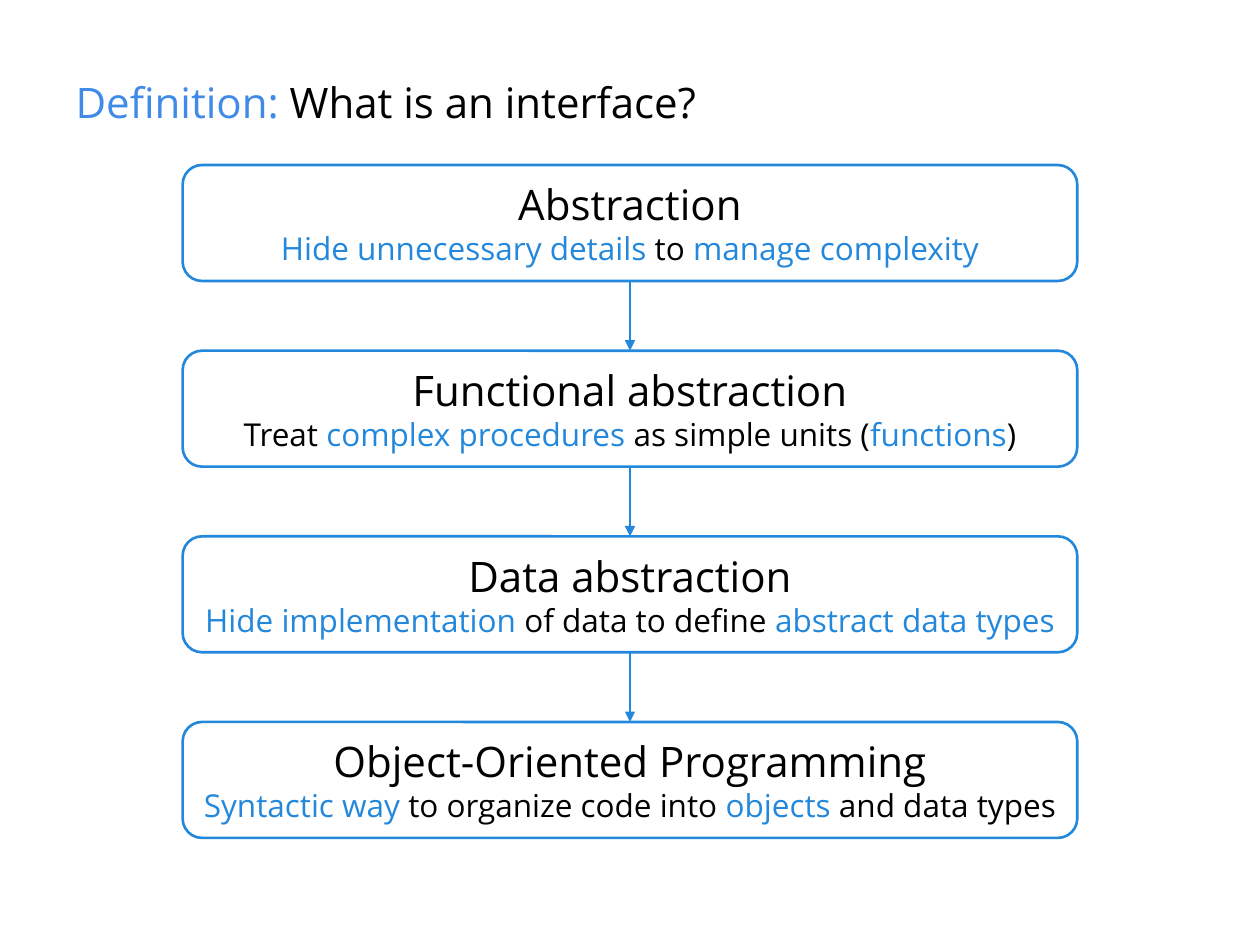
import pptx
import pptx.dml.color
import pptx.enum.shapes
import pptx.enum.text
import pptx.oxml.ns
import pptx.util
from lxml import etree

Inches = pptx.util.Inches
Pt = pptx.util.Pt
RGBColor = pptx.dml.color.RGBColor
PP_ALIGN = pptx.enum.text.PP_ALIGN
MSO_ANCHOR = pptx.enum.text.MSO_ANCHOR
qn = pptx.oxml.ns.qn

BLUE = RGBColor(0x23, 0x88, 0xDB)
TITLE_BLUE = RGBColor(0x41, 0x8B, 0xE8)
BLACK = RGBColor(0, 0, 0)
FONT = "Open Sans"

BOX_LEFT, BOX_WIDTH, BOX_HEIGHT = 1.45, 7.1, 0.92
FIRST_TOP, LAST_TOP = 1.31, 5.73

CONCEPTS = [
    ("Abstraction",
     [("Hide unnecessary details", BLUE), (" to ", BLACK),
      ("manage complexity", BLUE)]),
    ("Functional abstraction",
     [("Treat ", BLACK), ("complex procedures", BLUE),
      (" as simple units (", BLACK), ("functions", BLUE), (")", BLACK)]),
    ("Data abstraction",
     [("Hide implementation", BLUE), (" of data to define ", BLACK),
      ("abstract data types", BLUE)]),
    ("Object-Oriented Programming",
     [("Syntactic way", BLUE), (" to organize code into", BLACK),
      (" objects", BLUE), (" and data types", BLACK)]),
]


def set_frame(tf, anchor):
    tf.word_wrap = True
    tf.auto_size = pptx.enum.text.MSO_AUTO_SIZE.NONE
    tf.vertical_anchor = anchor
    tf.margin_left = tf.margin_right = Inches(0.1)
    tf.margin_top = tf.margin_bottom = Inches(0.1)


def write_paragraph(p, runs, size, align):
    p.alignment = align
    p.font.name = FONT
    p.font.size = Pt(size)
    for text, color in runs:
        r = p.add_run()
        r.text = text
        r.font.color.rgb = color


def set_title(s, runs):
    title = s.shapes.title
    title.left, title.top = Inches(0.5), Inches(0.24)
    title.width, title.height = Inches(9), Inches(0.87)
    set_frame(title.text_frame, MSO_ANCHOR.BOTTOM)
    write_paragraph(title.text_frame.paragraphs[0], runs, 24, PP_ALIGN.LEFT)


def add_box(s, top, heading, runs):
    box = s.shapes.add_shape(
        pptx.enum.shapes.MSO_SHAPE.ROUNDED_RECTANGLE,
        Inches(BOX_LEFT), Inches(top), Inches(BOX_WIDTH), Inches(BOX_HEIGHT))
    box.shadow.inherit = False
    box.fill.background()
    box.line.color.rgb = BLUE
    box.line.width = Pt(1.5)
    tf = box.text_frame
    set_frame(tf, MSO_ANCHOR.MIDDLE)
    write_paragraph(tf.paragraphs[0], [(heading, BLACK)], 24, PP_ALIGN.CENTER)
    write_paragraph(tf.add_paragraph(), runs, 18, PP_ALIGN.CENTER)
    return box


def add_arrow(s, upper, lower):
    arrow = s.shapes.add_connector(
        pptx.enum.shapes.MSO_CONNECTOR.STRAIGHT, 0, 0, 0, 0)
    arrow.begin_connect(upper, 2)
    arrow.end_connect(lower, 0)
    arrow.line.color.rgb = BLUE
    arrow.line.width = Pt(1.5)
    etree.SubElement(arrow.line._get_or_add_ln(), qn("a:tailEnd"),
                     type="triangle")
    etree.SubElement(arrow._element.spPr, qn("a:effectLst"))


def main():
    prs = pptx.Presentation()
    prs.slide_width, prs.slide_height = Inches(10), Inches(7.5)
    s = prs.slides.add_slide(prs.slide_layouts[5])
    set_title(s, [("Definition:", TITLE_BLUE),
                  (" What is an interface?", BLACK)])
    step = (LAST_TOP - FIRST_TOP) / (len(CONCEPTS) - 1)
    boxes = [add_box(s, FIRST_TOP + i * step, heading, runs)
             for i, (heading, runs) in enumerate(CONCEPTS)]
    for upper, lower in zip(boxes, boxes[1:]):
        add_arrow(s, upper, lower)
    prs.save("out.pptx")


if __name__ == "__main__":
    main()
